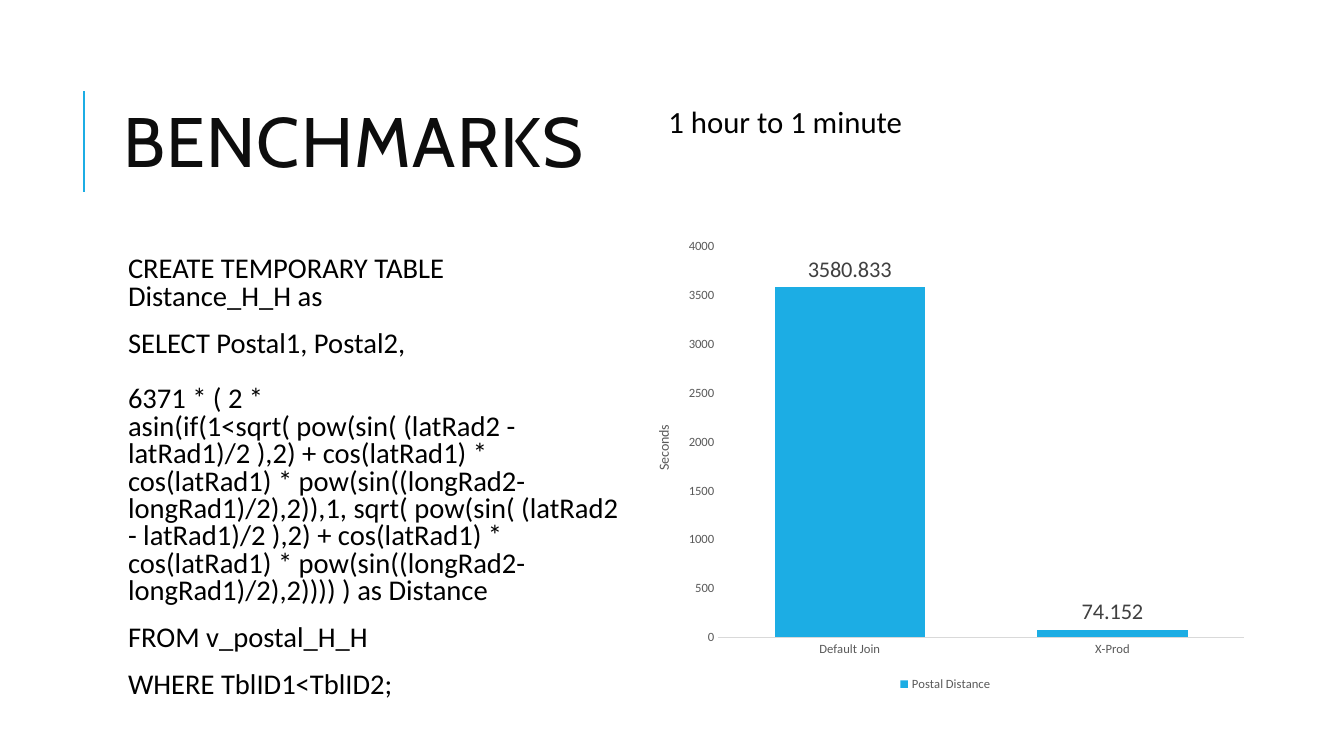
from dataclasses import dataclass

from lxml.etree import SubElement
from pptx import Presentation
from pptx.chart.data import CategoryChartData
from pptx.dml.color import RGBColor
from pptx.enum.chart import XL_CHART_TYPE, XL_LABEL_POSITION, XL_LEGEND_POSITION, XL_TICK_MARK
from pptx.enum.shapes import MSO_CONNECTOR
from pptx.enum.text import MSO_ANCHOR, MSO_AUTO_SIZE, PP_ALIGN
from pptx.oxml.ns import qn
from pptx.util import Pt

TITLE = "BENCHMARKS"
HEADLINE = "1 hour to 1 minute"
QUERY = [
    ("CREATE TEMPORARY TABLE \vDistance_H_H as", 0),
    ("SELECT Postal1, Postal2,", 12),
    ("6371 * ( 2 * asin(if(1<sqrt( pow(sin( (latRad2 - latRad1)/2 ),2) + cos(latRad1) * "
     "cos(latRad1) * pow(sin((longRad2-longRad1)/2),2)),1, sqrt( pow(sin( (latRad2 - "
     "latRad1)/2 ),2) + cos(latRad1) * cos(latRad1) * "
     "pow(sin((longRad2-longRad1)/2),2)))) ) as Distance", 18),
    ("FROM v_postal_H_H", 12),
    ("WHERE TblID1<TblID2;", 12),
]
SERIES = "Postal Distance"
SECONDS = {"Default Join": 3580.833, "X-Prod": 74.152}
AXIS_TITLE = "Seconds"

PX = 9144


@dataclass(frozen=True)
class Theme:
    accent: str = "1CADE4"
    heading: str = "0D0D0D"
    body: str = "000000"
    axis: str = "595959"
    label: str = "404040"
    rule: str = "D9D9D9"
    heading_font: str = "Cabin"
    body_font: str = "Calibri"
    heading_size: float = 50
    headline_size: float = 22
    query_size: float = 20.4
    label_size: float = 16
    axis_title_size: float = 10
    axis_size: float = 9


THEME = Theme()


def px(*lengths):
    return [length * PX for length in lengths]


def set_font(font, size, colour, name=THEME.body_font):
    font.name = name
    font.size = Pt(size)
    font.bold = False
    font.color.rgb = RGBColor.from_string(colour)


def add_text(page, place, lines, size, line_spacing, insets):
    box = page.shapes.add_textbox(*px(*place))
    frame = box.text_frame
    frame.word_wrap = True
    frame.auto_size = MSO_AUTO_SIZE.NONE
    frame.margin_left, frame.margin_top, frame.margin_right, frame.margin_bottom = px(*insets)
    for index, (text, space_before) in enumerate(lines):
        para = frame.add_paragraph() if index else frame.paragraphs[0]
        para.text = text
        para.line_spacing = line_spacing
        para.space_before = Pt(space_before)
        para.space_after = Pt(2)
        set_font(para.font, size, THEME.body)


def add_title(page):
    title = page.shapes.title
    title.left, title.top, title.width, title.height = px(112, 64, 1063, 164)
    frame = title.text_frame
    frame.vertical_anchor = MSO_ANCHOR.MIDDLE
    frame.auto_size = MSO_AUTO_SIZE.NONE
    para = frame.paragraphs[0]
    para.alignment = PP_ALIGN.LEFT
    para.line_spacing = 0.8
    span = para.add_run()
    span.text = TITLE
    set_font(para.font, THEME.heading_size, THEME.heading, THEME.heading_font)
    span._r.get_or_add_rPr().set("spc", "100")


def add_title_rule(page):
    rule = page.shapes.add_connector(MSO_CONNECTOR.STRAIGHT, *px(83, 190, 83, 90))
    rule.line.color.rgb = RGBColor.from_string(THEME.accent)
    rule.line.width = Pt(1.5)
    SubElement(rule._element.spPr, qn("a:effectLst"))


def add_seconds_chart(page):
    data = CategoryChartData()
    data.categories = list(SECONDS)
    data.add_series(SERIES, list(SECONDS.values()))
    frame = page.shapes.add_chart(XL_CHART_TYPE.COLUMN_CLUSTERED, *px(629, 228, 617, 462), data)
    chart = frame.chart
    chart.has_title = False
    set_font(chart.font, THEME.axis_title_size, THEME.body)

    chart.has_legend = True
    chart.legend.position = XL_LEGEND_POSITION.BOTTOM
    chart.legend.include_in_layout = False
    set_font(chart.legend.font, THEME.axis_size, THEME.axis)

    for axis in (chart.category_axis, chart.value_axis):
        axis.has_major_gridlines = False
        axis.major_tick_mark = XL_TICK_MARK.NONE
        axis.minor_tick_mark = XL_TICK_MARK.NONE
        set_font(axis.tick_labels.font, THEME.axis_size, THEME.axis)
    category_line = chart.category_axis.format.line
    category_line.color.rgb = RGBColor.from_string(THEME.rule)
    category_line.width = Pt(0.75)

    values = chart.value_axis
    values.format.line.fill.background()
    values.minimum_scale, values.maximum_scale, values.major_unit = 0, 4000, 500
    para = values.axis_title.text_frame.paragraphs[0]
    para.text = AXIS_TITLE
    set_font(para.font, THEME.axis_title_size, THEME.axis)

    plot = chart.plots[0]
    plot.gap_width = 75
    plot.vary_by_categories = False
    columns = plot.series[0]
    columns.format.fill.solid()
    columns.format.fill.fore_color.rgb = RGBColor.from_string(THEME.accent)
    labels = columns.data_labels
    labels.show_value = True
    labels.position = XL_LABEL_POSITION.OUTSIDE_END
    set_font(labels.font, THEME.label_size, THEME.label)


def main():
    deck = Presentation()
    deck.slide_width, deck.slide_height = px(1333, 750)
    page = deck.slides.add_slide(deck.slide_layouts[5])
    add_title_rule(page)
    add_title(page)
    add_text(page, (112, 250, 520, 440), QUERY, THEME.query_size, 0.8, (15, 5, 5, 5))
    add_seconds_chart(page)
    add_text(page, (643, 101, 496, 89), [(HEADLINE, 0)], THEME.headline_size, 0.9, (20, 5, 10, 5))
    deck.save("out.pptx")


if __name__ == "__main__":
    main()
